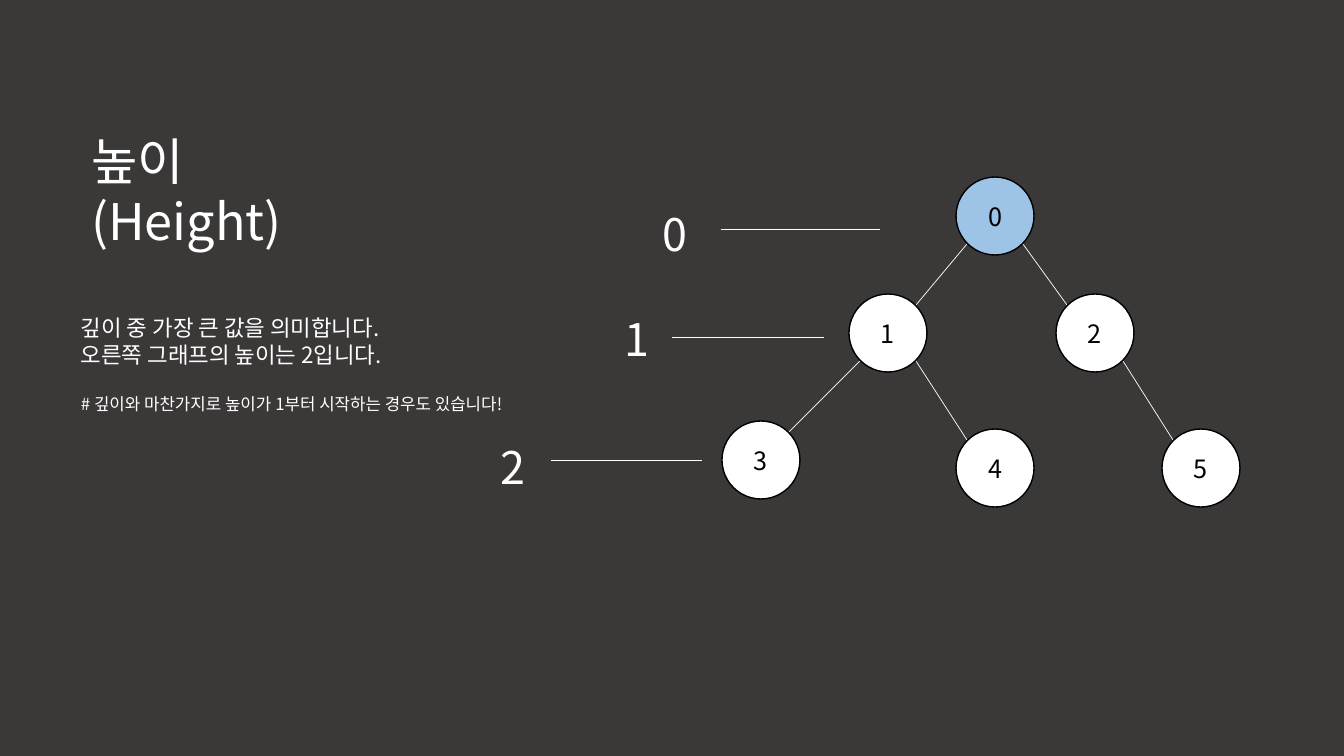
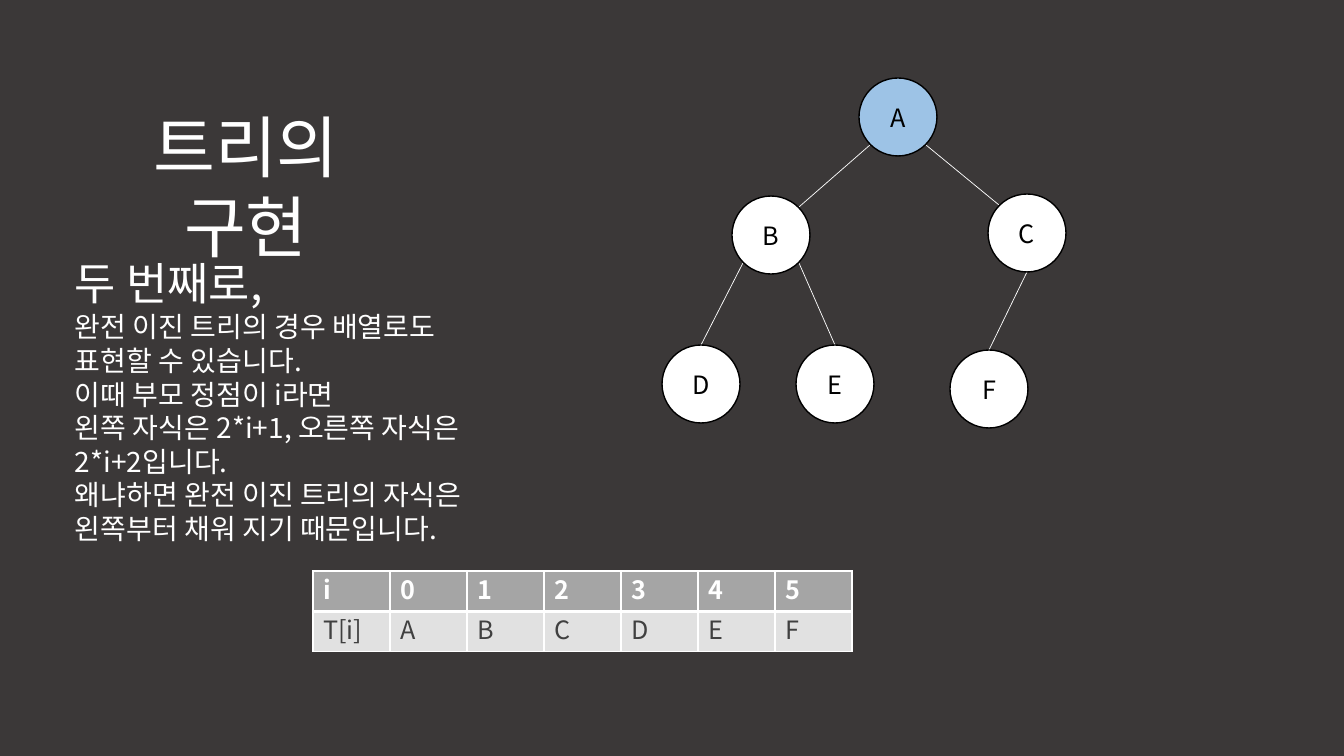
from dataclasses import dataclass

from lxml import etree
from pptx import Presentation
from pptx import util as u
from pptx.dml.color import RGBColor
from pptx.enum import shapes, text
from pptx.oxml import ns

PX = 9071  # EMU per px, 1344 px across the slide


@dataclass(frozen=True)
class Theme:
    font: str = "Noto Sans CJK KR"
    background: RGBColor = RGBColor(0x3B, 0x38, 0x38)
    white: RGBColor = RGBColor(0xFF, 0xFF, 0xFF)
    black: RGBColor = RGBColor(0, 0, 0)
    root: RGBColor = RGBColor(0x9D, 0xC3, 0xE6)
    header: RGBColor = RGBColor(0xA5, 0xA5, 0xA5)
    row: RGBColor = RGBColor(0xE1, 0xE1, 0xE1)
    row_text: RGBColor = RGBColor(0x40, 0x40, 0x40)
    heading: int = 32
    body: int = 20
    label: int = 18
    small: int = 16
    note: int = 12
    line_height: float = 1.2


THEME = Theme()
ALIGN = text.PP_ALIGN


def write(frame, content, size, color=THEME.white, align=ALIGN.LEFT, bold=False,
          pitch=None, before=0, new=False):
    """Write one paragraph: the first of the frame, or a further one if new."""
    para = frame.add_paragraph() if new else frame.paragraphs[0]
    para.alignment = align
    para.line_spacing = u.Pt(pitch or size * THEME.line_height)
    para.space_before = u.Pt(before)
    span = para.add_run()
    span.text = content
    font = span.font
    font.size, font.bold, font.name = u.Pt(size), bold, THEME.font
    font.color.rgb = color
    east_asian = etree.SubElement(span._r.get_or_add_rPr(), ns.qn("a:ea"))
    east_asian.set("typeface", THEME.font)


def draw_line(page, x1, y1, x2, y2):
    line = page.shapes.add_connector(
        shapes.MSO_CONNECTOR.STRAIGHT, x1 * PX, y1 * PX, x2 * PX, y2 * PX)
    line.line.color.rgb = THEME.white
    line.line.width = u.Pt(0.5)
    etree.SubElement(line._element.spPr, ns.qn("a:effectLst"))


deck = Presentation()
deck.slide_width, deck.slide_height = 1344 * PX, 756 * PX
fill = deck.slide_master.background.fill
fill.solid()
fill.fore_color.rgb = THEME.background

# Titles, and trees: node centres, then edges as parent, side, child, side
DIAMETER = 78
SIDES = {"N": (0, -39), "S": (0, 39), "NE": (28, -28), "NW": (-28, -28),
         "SE": (28, 28), "SW": (-28, 28)}
SLIDES = [
    ("높이 (Height)", 36, ALIGN.LEFT, (81, 125, 300, 72),
     {"0": (995, 216), "1": (888, 333), "2": (1095, 333),
      "3": (761, 460), "4": (995, 468), "5": (1201, 468)},
     ["0 SW 1 NE", "0 SE 2 NW", "1 SW 3 NE", "1 SE 4 NW", "2 SE 5 NW"]),
    ("트리의 구현", 48, ALIGN.CENTER, (86, 100, 320, 92),
     {"A": (898, 117), "B": (771, 235), "C": (1027, 233),
      "D": (701, 384), "E": (835, 384), "F": (989, 389)},
     ["A SW B NE", "A SE C NW", "B SW D N", "B SE E N", "C S F N"]),
]
pages = []
for heading, size, align, place, nodes, edges in SLIDES:
    page = deck.slides.add_slide(deck.slide_layouts[5])
    pages.append(page)
    title = page.shapes.title
    title.left, title.top, title.width, title.height = [n * PX for n in place]
    frame = title.text_frame
    frame.word_wrap = True
    frame.auto_size = text.MSO_AUTO_SIZE.NONE
    frame.vertical_anchor = text.MSO_ANCHOR.TOP
    write(frame, heading, size, align=align)

    for edge in edges:
        parent, start, child, end = edge.split()
        draw_line(page,
                  nodes[parent][0] + SIDES[start][0], nodes[parent][1] + SIDES[start][1],
                  nodes[child][0] + SIDES[end][0], nodes[child][1] + SIDES[end][1])
    for index, (name, (x, y)) in enumerate(nodes.items()):
        node = page.shapes.add_shape(
            shapes.MSO_SHAPE.OVAL, (x - DIAMETER // 2) * PX, (y - DIAMETER // 2) * PX,
            DIAMETER * PX, DIAMETER * PX)
        node.shadow.inherit = False
        node.fill.solid()
        node.fill.fore_color.rgb = THEME.white if index else THEME.root
        node.line.color.rgb = THEME.black
        node.line.width = u.Pt(1)
        node.text_frame.vertical_anchor = text.MSO_ANCHOR.MIDDLE
        write(node.text_frame, name, THEME.label, THEME.black, ALIGN.CENTER)

height_page, array_page = pages

# Height: explanation and level marks
box = height_page.shapes.add_textbox(71, 309 * PX, 447 * PX, 173 * PX)
box.left = 71 * PX
frame = box.text_frame
frame.word_wrap = True
write(frame, "깊이 중 가장 큰 값을 의미합니다.", THEME.small)
write(frame, "오른쪽 그래프의 높이는 2입니다.", THEME.small, new=True)
write(frame, "# 깊이와 마찬가지로 높이가 1부터 시작하는 경우도 있습니다!", THEME.note,
      pitch=18, before=15, new=True)

LEVELS = [(653, 202, 721, 880, 229), (615, 307, 672, 824, 337), (491, 435, 551, 702, 460)]
for level, (left, top, start, end, y) in enumerate(LEVELS):
    box = height_page.shapes.add_textbox(left * PX, top * PX, 45 * PX, 64 * PX)
    write(box.text_frame, str(level), THEME.heading)
    draw_line(height_page, start, y, end, y)

# Implementation: explanation and array
box = array_page.shapes.add_textbox(65 * PX, 251 * PX, 470 * PX, 363 * PX)
frame = box.text_frame
frame.word_wrap = True
write(frame, "두 번째로,", THEME.heading, align=ALIGN.JUSTIFY)
for sentence in [
    "완전 이진 트리의 경우 배열로도",
    "표현할 수 있습니다.",
    "이때 부모 정점이 i라면",
    "왼쪽 자식은 2*i+1, 오른쪽 자식은",
    "2*i+2입니다.",
    "왜냐하면 완전 이진 트리의 자식은",
    "왼쪽부터 채워 지기 때문입니다.",
]:
    write(frame, sentence, THEME.body, align=ALIGN.JUSTIFY, new=True)

ROWS = [["i", *"012345"], ["T[i]", *"ABCDEF"]]
ROW_STYLES = [
    (THEME.header, THEME.white, True, {"lnL": 1, "lnR": 1, "lnT": 1, "lnB": 3}),
    (THEME.row, THEME.row_text, False, {"lnL": 1, "lnR": 1, "lnT": 3, "lnB": 1}),
]
table = array_page.shapes.add_table(
    2, 7, 313 * PX, 571 * PX, 7 * 77 * PX, 2 * 40 * PX).table
for column in table.columns:
    column.width = 77 * PX
for r, (values, (back, color, bold, borders)) in enumerate(zip(ROWS, ROW_STYLES)):
    table.rows[r].height = 40 * PX
    for c, value in enumerate(values):
        cell = table.cell(r, c)
        write(cell.text_frame, value, THEME.label, color, bold=bold)
        properties = cell._tc.get_or_add_tcPr()
        for side, width in borders.items():
            border = etree.SubElement(properties, ns.qn("a:" + side), w=str(u.Pt(width)))
            solid = etree.SubElement(border, ns.qn("a:solidFill"))
            etree.SubElement(solid, ns.qn("a:srgbClr"), val=str(THEME.white))
        cell.fill.solid()
        cell.fill.fore_color.rgb = back

deck.save("out.pptx")
